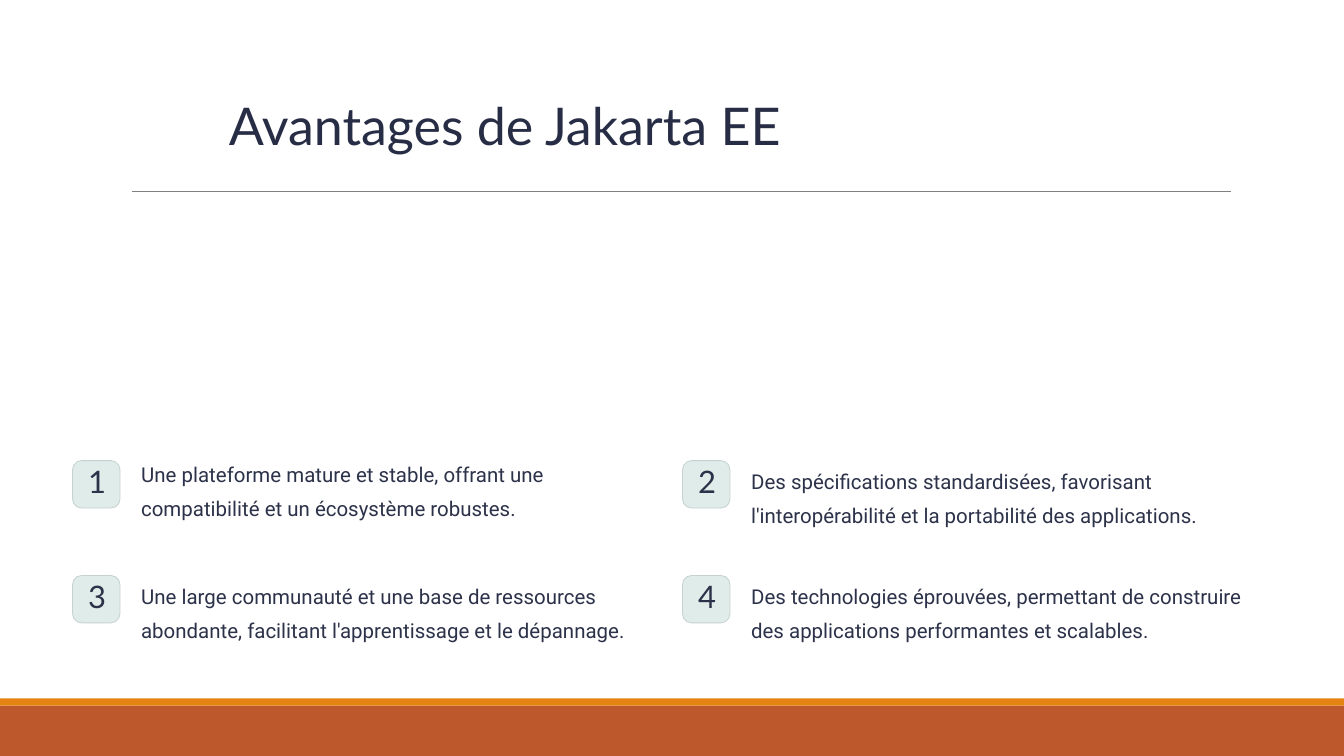
"""Build the slide on the advantages of Jakarta EE."""
import pptx
import pptx.dml.color
import pptx.enum.shapes
import pptx.enum.text
import pptx.oxml.ns
import pptx.util

TITLE = "Avantages de Jakarta EE"
ADVANTAGES = [
    {"text": "Une plateforme mature et stable, offrant une compatibilité et un écosystème robustes.",
     "rise": 0.07, "height": 0.66},
    {"text": "Des spécifications standardisées, favorisant l'interopérabilité et la portabilité des applications.",
     "rise": 0, "height": 0.66},
    {"text": "Une large communauté et une base de ressources abondante, facilitant l'apprentissage et le dépannage.",
     "rise": 0, "height": 0.99},
    {"text": "Des technologies éprouvées, permettant de construire des applications performantes et scalables.",
     "rise": 0, "height": 0.99},
]
COLORS = {
    "rust": "BD582C", "orange": "E48312", "rule": "808080", "title": "272D45",
    "text": "2C3249", "badge": "DFECE9", "badge_line": "C5D2CF",
}
COLUMNS, LEFT, TOP = 2, 0.72, 4.57
COLUMN_STEP, ROW_STEP = 6.05, 1.14
BADGE, TEXT_OFFSET, TEXT_WIDTH = 0.47, 0.68, 5.17
NUMBER_WIDTH, NUMBER_HEIGHT = 0.16, 0.31

Inches, Pt = pptx.util.Inches, pptx.util.Pt
MSO_SHAPE = pptx.enum.shapes.MSO_SHAPE
PP_ALIGN = pptx.enum.text.PP_ALIGN


def rgb(name):
    return pptx.dml.color.RGBColor.from_string(COLORS[name])


def add_box(s, kind, box, fill, line=None):
    sp = s.shapes.add_shape(kind, *map(Inches, box))
    sp.shadow.inherit = False
    sp.fill.solid()
    sp.fill.fore_color.rgb = rgb(fill)
    if line:
        sp.line.color.rgb = rgb(line)
        sp.line.width = Pt(0.6)
    else:
        sp.line.fill.background()
    return sp


def add_text(s, text, box, font, size, spacing, color="text", wrap=False, align=PP_ALIGN.LEFT):
    tf = s.shapes.add_textbox(*map(Inches, box)).text_frame
    tf.margin_left = tf.margin_top = tf.margin_right = tf.margin_bottom = 0
    tf.word_wrap = wrap
    p = tf.paragraphs[0]
    p.text = text
    p.alignment = align
    p.line_spacing = Pt(spacing)
    p.font.name = font
    p.font.size = Pt(size)
    p.font.color.rgb = rgb(color)


def add_rule(s, x1, x2, y):
    rule = s.shapes.add_connector(
        pptx.enum.shapes.MSO_CONNECTOR.STRAIGHT, Inches(x1), Inches(y), Inches(x2), Inches(y))
    rule.line.color.rgb = rgb("rule")
    rule.line.width = Pt(0.5)
    effects = pptx.oxml.ns.qn("a:effectLst")
    rule.line._get_or_add_ln().addnext(rule._element.makeelement(effects, {}))


def add_advantage(s, index, advantage):
    row, column = divmod(index, COLUMNS)
    x = LEFT + column * COLUMN_STEP
    y = TOP + row * ROW_STEP
    badge = add_box(s, MSO_SHAPE.ROUNDED_RECTANGLE, (x, y, BADGE, BADGE), "badge", "badge_line")
    badge.adjustments[0] = 0.19
    number_box = (x + (BADGE - NUMBER_WIDTH) / 2, y + (BADGE - NUMBER_HEIGHT) / 2,
                  NUMBER_WIDTH, NUMBER_HEIGHT)
    add_text(s, str(index + 1), number_box, "Lato", 22.1, 22.1, align=PP_ALIGN.CENTER)
    text_box = (x + TEXT_OFFSET, y - advantage["rise"], TEXT_WIDTH, advantage["height"])
    add_text(s, advantage["text"], text_box, "Roboto", 14.6, 23.8, wrap=True)


def main():
    prs = pptx.Presentation()
    prs.slide_width, prs.slide_height = Inches(13.33), Inches(7.5)
    s = prs.slides.add_slide(prs.slide_layouts[6])
    add_box(s, MSO_SHAPE.RECTANGLE, (0, 7, 13.33, 0.5), "rust")
    add_box(s, MSO_SHAPE.RECTANGLE, (0, 6.93, 13.33, 0.07), "orange")
    add_rule(s, 1.31, 12.21, 1.9)
    add_text(s, TITLE, (2.27, 0.9, 5.54, 0.65), "Lato", 37.1, 46.2, "title")
    for index, advantage in enumerate(ADVANTAGES):
        add_advantage(s, index, advantage)
    prs.save("out.pptx")


if __name__ == "__main__":
    main()
